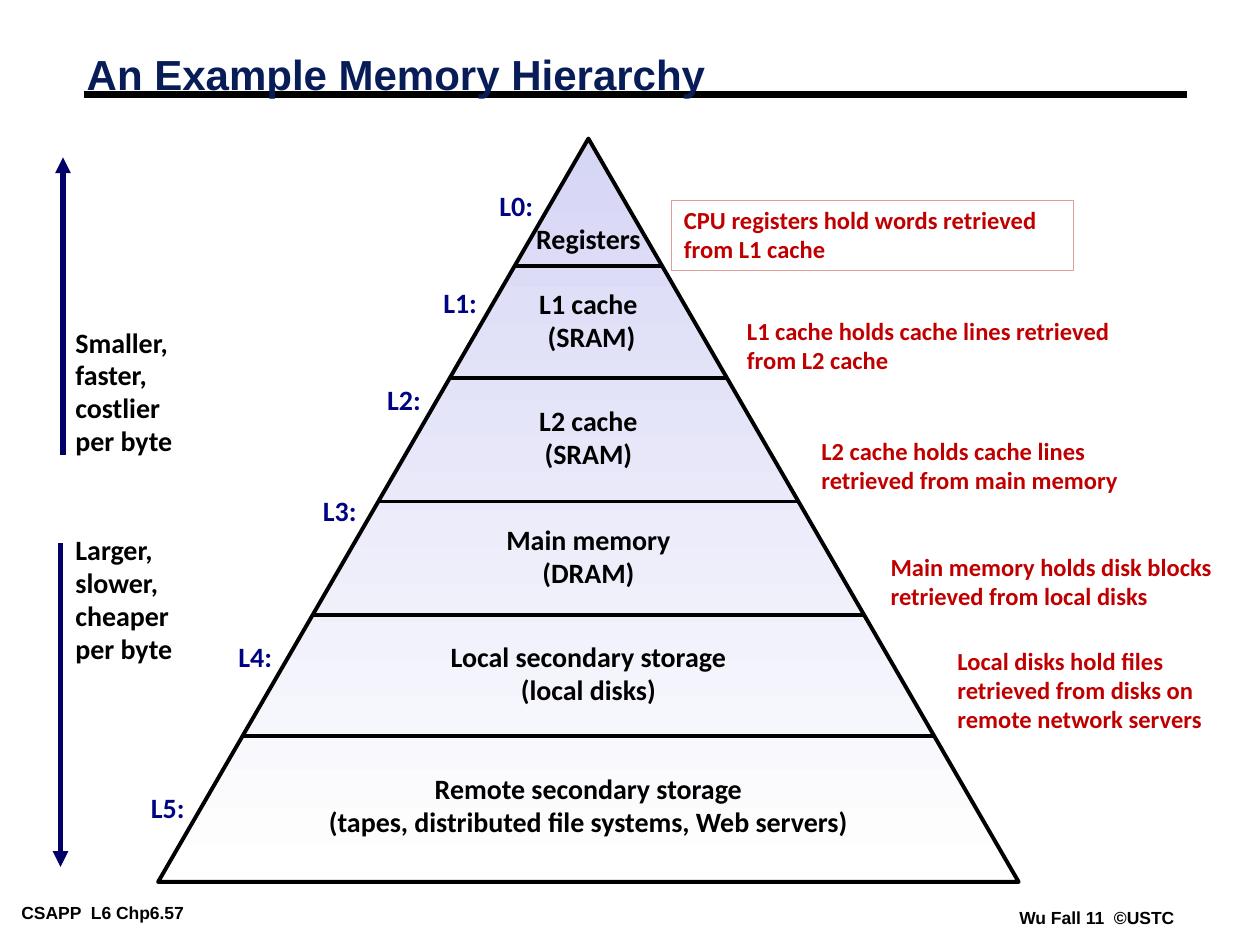
"""Build the memory hierarchy slide on a grid of 100 columns by 75 rows."""
from dataclasses import dataclass

from lxml import etree
from pptx import Presentation
from pptx import util as u
from pptx.dml.color import RGBColor
from pptx.enum import shapes, text
from pptx.oxml import ns

BLACK = RGBColor(0x00, 0x00, 0x00)
TITLE_NAVY = RGBColor(0x08, 0x1D, 0x58)
ARROW_NAVY = RGBColor(0x00, 0x00, 0x66)
LABEL_BLUE = RGBColor(0x00, 0x04, 0x82)
NOTE_RED = RGBColor(0xC0, 0x00, 0x00)
FRAME_PINK = RGBColor(0xDF, 0x9F, 0x98)
LAVENDER = RGBColor(0xD6, 0xD6, 0xF5)
WHITE = RGBColor(0xFF, 0xFF, 0xFF)

SLIDE_WIDTH, SLIDE_HEIGHT = u.Inches(10), u.Inches(7.5)
COLUMNS, ROWS = 100, 75
APEX_COLUMN, APEX_ROW = 46.7, 11
PYRAMID_WIDTH, PYRAMID_HEIGHT = 68.3, 59
LABEL_GAP, LABEL_WIDTH, LABEL_HEIGHT = 2.6, 5.2, 3.6


@dataclass(frozen=True)
class Area:
    """A rectangle in grid columns and rows."""
    column: float
    row: float
    width: float
    height: float


@dataclass(frozen=True)
class Style:
    """The look of a block of text."""
    size: float
    color: RGBColor
    font: str = "Calibri"
    align: text.PP_ALIGN = text.PP_ALIGN.LEFT
    spacing: float = 0.98
    wrap: bool = False
    anchor: text.MSO_ANCHOR = text.MSO_ANCHOR.MIDDLE
    insets: tuple[float, float] = (1, 0.5)


@dataclass(frozen=True)
class Level:
    """One storage level: its lines, text place, label row and bottom edge."""
    lines: tuple[str, ...]
    row: float
    width: float
    label_row: float
    bottom: float


@dataclass(frozen=True)
class Note:
    """An explanation beside the pyramid."""
    wording: str
    area: Area
    framed: bool = False


@dataclass(frozen=True)
class Trend:
    """A vertical arrow with its description."""
    lines: tuple[str, ...]
    area: Area
    column: float
    start: float
    end: float


TITLE = Style(24, TITLE_NAVY, "Arial", spacing=0.87)
FOOTER = Style(10, BLACK, "Arial", spacing=1, anchor=text.MSO_ANCHOR.TOP, insets=(0.7, 0.3))
LEVEL = Style(16, BLACK, align=text.PP_ALIGN.CENTER)
LABEL = Style(16, LABEL_BLUE, align=text.PP_ALIGN.CENTER)
TREND = Style(16, BLACK)
NOTE = Style(14, NOTE_RED, wrap=True)

LEVELS = (
    Level(("Registers",), 17.2, 10.6, 14.6, 21.1),
    Level(("L1 cache", " (SRAM)"), 22.4, 10, 22.3, 30),
    Level(("L2 cache", "(SRAM)"), 31.7, 10, 30, 39.8),
    Level(("Main memory", "(DRAM)"), 41.1, 15.2, 38.8, 48.8),
    Level(("Local secondary storage", "(local disks)"), 50.4, 24.2, 50.4, 58.4),
    Level(("Remote secondary storage", "(tapes, distributed file systems, Web servers)"),
          60.9, 43.6, 62.4, 70),
)
NOTES = (
    Note("CPU registers hold words retrieved from L1 cache", Area(53.3, 15.9, 31.9, 5.6), True),
    Note("L1 cache holds cache lines retrieved from L2 cache", Area(58.3, 24.7, 31, 5.6)),
    Note("L2 cache holds cache lines retrieved from main memory", Area(64.2, 34.2, 28.8, 5.6)),
    Note("Main memory holds disk blocks retrieved from local disks", Area(69.7, 43.4, 30, 5.6)),
    Note("Local disks hold files retrieved from disks on remote network servers",
         Area(75, 50.9, 22.6, 7.9)),
)
TRENDS = (
    Trend(("Smaller,", "faster,", "costlier", "per byte"), Area(5, 25.4, 9.9, 11.5), 5, 36.1, 12.5),
    Trend(("Larger,", "slower,", "cheaper", "per byte"), Area(5, 41.9, 9.9, 11.5), 4.8, 43.1, 68.8),
)


def across(columns: float) -> int:
    """Turn grid columns into a length."""
    return round(SLIDE_WIDTH * columns / COLUMNS)


def down(rows: float) -> int:
    """Turn grid rows into a length."""
    return round(SLIDE_HEIGHT * rows / ROWS)


def place(area: Area) -> tuple[int, int, int, int]:
    """Turn a grid area into left, top, width and height."""
    return across(area.column), down(area.row), across(area.width), down(area.height)


def half_width(row: float) -> float:
    """Return half the pyramid's width at a row."""
    return PYRAMID_WIDTH / 2 * (row - APEX_ROW) / PYRAMID_HEIGHT


def write(holder, lines: tuple[str, ...], style: Style) -> None:
    """Write one paragraph per line into a shape."""
    frame = holder.text_frame
    frame.word_wrap = style.wrap
    frame.auto_size = text.MSO_AUTO_SIZE.SHAPE_TO_FIT_TEXT
    frame.vertical_anchor = style.anchor
    frame.margin_left = frame.margin_right = across(style.insets[0])
    frame.margin_top = frame.margin_bottom = down(style.insets[1])
    for index, line in enumerate(lines):
        paragraph = frame.add_paragraph() if index else frame.paragraphs[0]
        paragraph.alignment = style.align
        paragraph.line_spacing = style.spacing
        run = paragraph.add_run()
        run.text = line
        run.font.name = style.font
        run.font.size = u.Pt(style.size)
        run.font.bold = True
        run.font.color.rgb = style.color


def add_text(slide, area: Area, lines: tuple[str, ...], style: Style) -> None:
    """Add a text box."""
    write(slide.shapes.add_textbox(*place(area)), lines, style)


def add_line(slide, start: tuple[float, float], end: tuple[float, float],
             color: RGBColor, points: float, arrow: bool = False) -> None:
    """Add a straight line, with an arrowhead at its end if wanted."""
    line = slide.shapes.add_connector(
        shapes.MSO_CONNECTOR.STRAIGHT, across(start[0]), down(start[1]), across(end[0]), down(end[1]))
    line.line.color.rgb = color
    line.line.width = u.Pt(points)
    if arrow:
        etree.SubElement(line.line._get_or_add_ln(), ns.qn("a:tailEnd"), type="triangle")
    etree.SubElement(line._element.spPr, ns.qn("a:effectLst"))


def add_pyramid(slide) -> None:
    """Add the shaded triangle behind the levels."""
    area = Area(APEX_COLUMN - PYRAMID_WIDTH / 2, APEX_ROW, PYRAMID_WIDTH, PYRAMID_HEIGHT)
    pyramid = slide.shapes.add_shape(shapes.MSO_SHAPE.ISOSCELES_TRIANGLE, *place(area))
    pyramid.shadow.inherit = False
    pyramid.fill.gradient()
    pyramid.fill.gradient_angle = 270
    for stop, color in zip(pyramid.fill.gradient_stops, (LAVENDER, WHITE)):
        stop.color.rgb = color
    pyramid.line.color.rgb = BLACK
    pyramid.line.width = u.Pt(2.25)


def add_level(slide, number: int, level: Level) -> None:
    """Add a level's text and its label left of the slope."""
    height = 3.6 if len(level.lines) == 1 else 6.2
    area = Area(APEX_COLUMN - level.width / 2, level.row, level.width, height)
    add_text(slide, area, level.lines, LEVEL)
    slope = APEX_COLUMN - half_width(level.label_row + LABEL_HEIGHT / 2)
    label = Area(slope - LABEL_GAP - LABEL_WIDTH / 2, level.label_row, LABEL_WIDTH, LABEL_HEIGHT)
    add_text(slide, label, (f"L{number}:",), LABEL)


def add_note(slide, note: Note) -> None:
    """Add an explanation, framed if wanted."""
    if not note.framed:
        add_text(slide, note.area, (note.wording,), NOTE)
        return
    frame = slide.shapes.add_shape(shapes.MSO_SHAPE.RECTANGLE, *place(note.area))
    frame.shadow.inherit = False
    frame.fill.background()
    frame.line.color.rgb = FRAME_PINK
    frame.line.width = u.Pt(0.75)
    write(frame, (note.wording,), NOTE)


def main() -> None:
    """Build and save the slide."""
    deck = Presentation()
    deck.slide_width, deck.slide_height = SLIDE_WIDTH, SLIDE_HEIGHT
    slide = deck.slides.add_slide(deck.slide_layouts[6])
    add_text(slide, Area(1, 71.3, 19.5, 2.2), ("CSAPP  L6 Chp6.57",), FOOTER)
    add_text(slide, Area(80.2, 71.7, 13.8, 2.2), ("Wu Fall 11  ©USTC",), FOOTER)
    add_line(slide, (6.7, 7.5), (94.2, 7.5), BLACK, 4.5)
    add_text(slide, Area(5.9, 3.9, 95.3, 4.5), ("An Example Memory Hierarchy",), TITLE)
    add_pyramid(slide)
    for level in LEVELS[:-1]:
        half = half_width(level.bottom)
        add_line(slide, (APEX_COLUMN - half, level.bottom), (APEX_COLUMN + half, level.bottom), BLACK, 2)
    for number, level in enumerate(LEVELS):
        add_level(slide, number, level)
    for note in NOTES:
        add_note(slide, note)
    for trend in TRENDS:
        add_line(slide, (trend.column, trend.start), (trend.column, trend.end), ARROW_NAVY, 3, True)
        add_text(slide, trend.area, trend.lines, TREND)
    deck.save("out.pptx")


if __name__ == "__main__":
    main()
